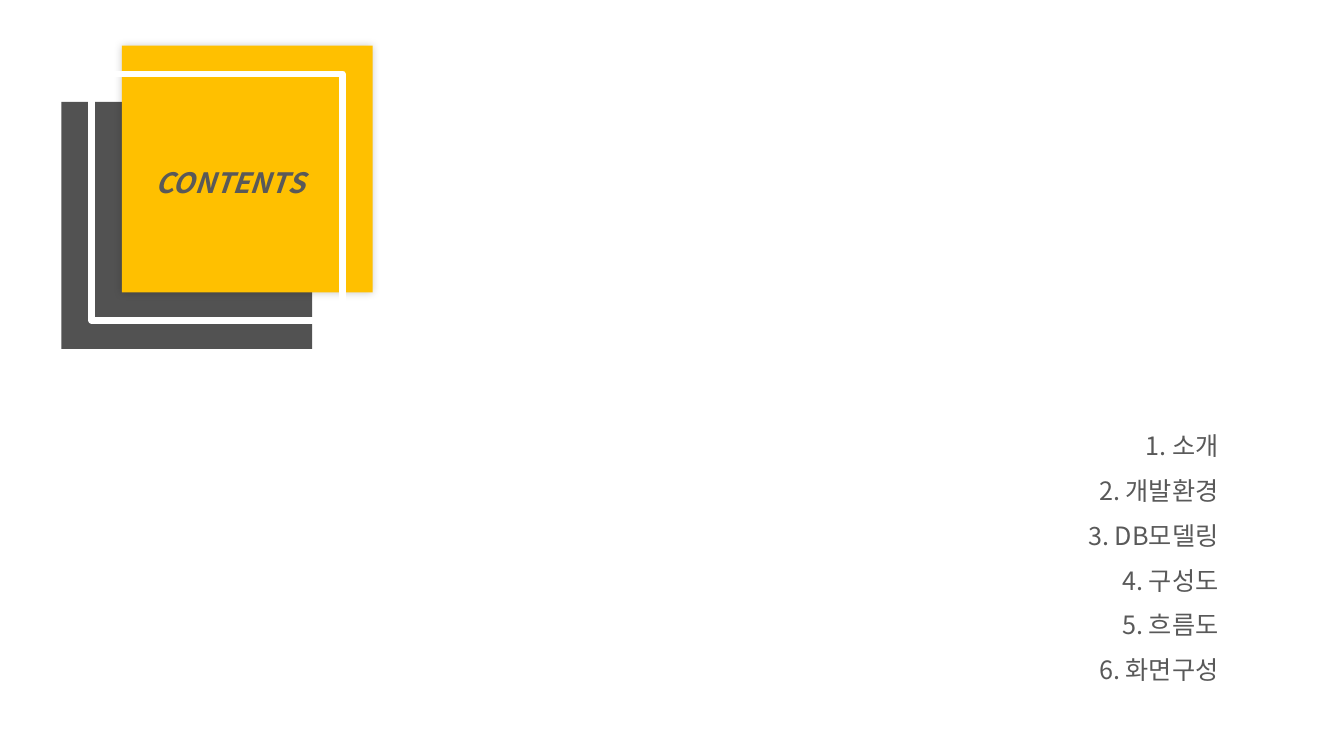
from lxml.etree import SubElement
from pptx import Presentation
from pptx.dml.color import RGBColor
from pptx.enum.shapes import MSO_SHAPE
from pptx.enum.text import MSO_ANCHOR, MSO_AUTO_SIZE, PP_ALIGN
from pptx.oxml import parse_xml
from pptx.oxml.ns import nsdecls, qn
from pptx.util import Cm, Pt

# Content
TITLE = "CONTENTS"
ITEMS = ["소개", "개발환경", "DB모델링", "구성도", "흐름도", "화면구성"]

FONT = "Noto Sans CJK KR"
TEXT_GREY = RGBColor(0x59, 0x59, 0x59)
DARK = RGBColor(0x40, 0x40, 0x40)
YELLOW = RGBColor(0xFF, 0xC0, 0x00)
WHITE = RGBColor(0xFF, 0xFF, 0xFF)

# Three equal panels, each one step up and to the right
PANEL_W, PANEL_H = 6.32, 6.22
LEFT, BOTTOM_TOP = 1.55, 2.57
STEP_X, STEP_Y = 0.76, 0.71


def add_panel(step):
    sp = s.shapes.add_shape(
        MSO_SHAPE.RECTANGLE, Cm(LEFT + step * STEP_X),
        Cm(BOTTOM_TOP - step * STEP_Y), Cm(PANEL_W), Cm(PANEL_H))
    sp.shadow.inherit = False
    sp.line.fill.background()
    return sp


def place(sp, left, top, width, height):
    sp.left, sp.top, sp.width, sp.height = map(Cm, (left, top, width, height))
    tf = sp.text_frame
    tf.word_wrap = True
    tf.auto_size = MSO_AUTO_SIZE.NONE
    tf.vertical_anchor = MSO_ANCHOR.TOP
    return tf


def format_paragraph(p, size, align, bold=False, italic=False):
    p.alignment = align
    p.line_spacing = 1.0
    for r in p.runs:
        font = r.font
        font.size, font.bold, font.italic = Pt(size), bold, italic
        font.color.rgb = TEXT_GREY
        font.name = FONT
        SubElement(font._element, qn("a:ea")).set("typeface", FONT)


prs = Presentation()
prs.slide_width, prs.slide_height = Cm(33.87), Cm(19.05)
s = prs.slides.add_slide(prs.slide_layouts[1])
title, body = s.shapes.title, s.placeholders[1]

# Dark panel, slightly transparent
dark = add_panel(0)
dark.fill.solid()
dark.fill.fore_color.rgb = DARK
color = dark.element.spPr.find(qn("a:solidFill"))[0]
SubElement(color, qn("a:alpha")).set("val", "90000")

# Yellow panel with a soft shadow
yellow = add_panel(2)
yellow.fill.solid()
yellow.fill.fore_color.rgb = YELLOW
effects = yellow.element.spPr.find(qn("a:effectLst"))
effects.append(parse_xml(
    f'<a:outerShdw {nsdecls("a")} blurRad="76200" dist="0" dir="18900000">'
    '<a:srgbClr val="000000"><a:alpha val="20000"/></a:srgbClr></a:outerShdw>'))

# White frame between the two
frame = add_panel(1)
frame.fill.background()
frame.line.color.rgb = WHITE
frame.line.width = Pt(4.5)

# Title, brought in front of the panels
tf = place(title, 2.3, 3.76, 7, 2.67)
tf.margin_top = Cm(0.41)
tf.text = TITLE
format_paragraph(tf.paragraphs[0], 20, PP_ALIGN.CENTER, bold=True, italic=True)
title.element.getparent().append(title.element)

# Numbered list
tf = place(body, 23.14, 10.72, 7.82, 7.6)
tf.text = "\n".join(f"{n}. {item}" for n, item in enumerate(ITEMS, 1))
for i, p in enumerate(tf.paragraphs):
    pPr = p._p.get_or_add_pPr()
    pPr.set("marL", "0")
    pPr.set("indent", "0")
    SubElement(pPr, qn("a:buNone"))
    format_paragraph(p, 18, PP_ALIGN.RIGHT)
    p.space_before = Pt(10.4 if i else 0)

prs.save("out.pptx")
